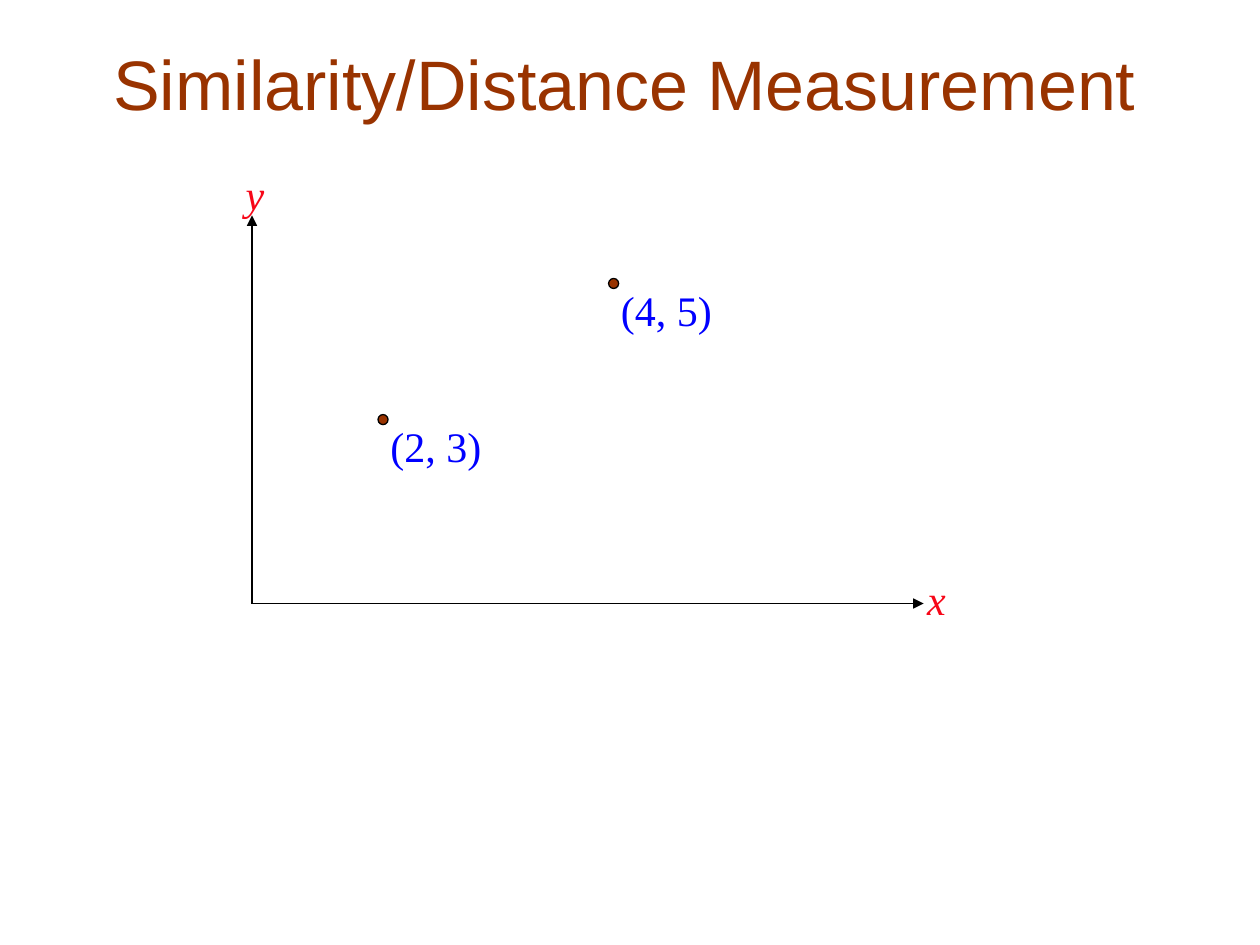
from dataclasses import dataclass

from lxml.etree import SubElement
from pptx import Presentation
from pptx.dml.color import RGBColor
from pptx.enum.shapes import MSO_CONNECTOR, MSO_SHAPE
from pptx.enum.text import MSO_ANCHOR, MSO_AUTO_SIZE, PP_ALIGN
from pptx.oxml.ns import qn
from pptx.slide import Slide
from pptx.text.text import TextFrame
from pptx.util import Inches, Pt

BROWN, RED, BLUE, BLACK = "993300", "F70718", "0000FF", "000000"
ORIGIN = (2, 4.79)
DOT_SIZE = 0.08


@dataclass
class Axis:
    name: str
    end: tuple[float, float]
    label_at: tuple[float, float]


@dataclass
class Point:
    label: str
    left: float
    top: float


AXES = [Axis("x", (7.33, 4.79), (7.26, 4.5)), Axis("y", (2, 1.71), (1.85, 1.29))]
POINTS = [Point("(2, 3)", 3, 3.29), Point("(4, 5)", 4.83, 2.21)]


def rgb(color: str) -> RGBColor:
    return RGBColor.from_string(color)


def add_run(tf: TextFrame, text: str, font: str, size: float, color: str,
            italic: bool = False) -> None:
    r = tf.paragraphs[0].add_run()
    r.text = text
    r.font.name = font
    r.font.size = Pt(size)
    r.font.italic = italic
    r.font.color.rgb = rgb(color)


def set_title(s: Slide, text: str) -> None:
    sp = s.shapes.title
    sp.left, sp.top = Inches(0.08), Inches(0.33)
    sp.width, sp.height = Inches(9.75), Inches(0.65)
    tf = sp.text_frame
    tf.auto_size = MSO_AUTO_SIZE.NONE
    tf.vertical_anchor = MSO_ANCHOR.MIDDLE
    tf.paragraphs[0].alignment = PP_ALIGN.CENTER
    add_run(tf, text, "Arial", 40, BROWN)


def add_label(s: Slide, text: str, left: float, top: float, width: float,
              color: str, italic: bool = False) -> None:
    sp = s.shapes.add_textbox(Inches(left), Inches(top), Inches(width), Inches(0.5))
    tf = sp.text_frame
    tf.word_wrap = True
    tf.auto_size = MSO_AUTO_SIZE.SHAPE_TO_FIT_TEXT
    add_run(tf, text, "Times New Roman", 24, color, italic)


def add_axis(s: Slide, axis: Axis) -> None:
    ends = [Inches(v) for v in (*ORIGIN, *axis.end)]
    line = s.shapes.add_connector(MSO_CONNECTOR.STRAIGHT, *ends)
    line.line.color.rgb = rgb(BLACK)
    line.line.width = Pt(0.75)
    SubElement(line.line._get_or_add_ln(), qn("a:tailEnd"), type="triangle")
    SubElement(line._element.spPr, qn("a:effectLst"))
    add_label(s, axis.name, *axis.label_at, 0.42, RED, italic=True)


def add_point(s: Slide, point: Point) -> None:
    size = Inches(DOT_SIZE)
    sp = s.shapes.add_shape(MSO_SHAPE.OVAL, Inches(point.left), Inches(point.top),
                            size, size)
    sp.shadow.inherit = False
    sp.fill.solid()
    sp.fill.fore_color.rgb = rgb(BROWN)
    sp.line.color.rgb = rgb(BLACK)
    sp.line.width = Pt(0.75)
    add_label(s, point.label, point.left, point.top, 1, BLUE)


def main() -> None:
    prs = Presentation()
    prs.slide_width, prs.slide_height = Inches(10), Inches(7.5)
    s = prs.slides.add_slide(prs.slide_layouts[5])
    set_title(s, "Similarity/Distance Measurement")
    for axis in AXES:
        add_axis(s, axis)
    for point in POINTS:
        add_point(s, point)
    prs.save("out.pptx")


if __name__ == "__main__":
    main()
